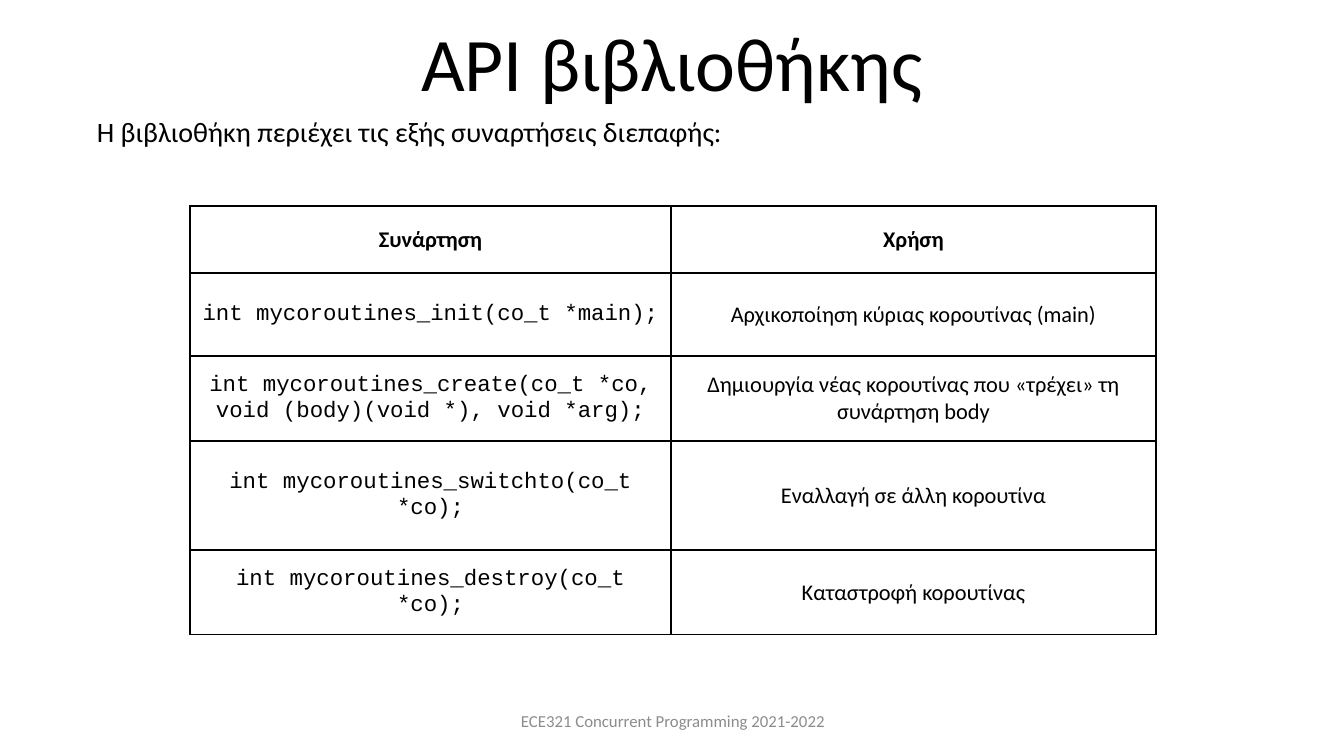
from dataclasses import dataclass

from lxml.etree import SubElement
from pptx import Presentation
from pptx.dml.color import RGBColor
from pptx.enum.text import MSO_ANCHOR, MSO_AUTO_SIZE, PP_ALIGN
from pptx.oxml.ns import qn
from pptx.util import Pt

# Content
TITLE = "API βιβλιοθήκης"
INTRO = "H βιβλιοθήκη περιέχει τις εξής συναρτήσεις διεπαφής:"
FOOTER = "ECE321 Concurrent Programming 2021-2022"
HEADINGS = ("Συνάρτηση", "Χρήση")
FUNCTIONS = [
    ("int mycoroutines_init(co_t *main);",
     "Αρχικοποίηση κύριας κορουτίνας (main)"),
    ("int mycoroutines_create(co_t *co, void (body)(void *), void *arg);",
     "Δημιουργία νέας κορουτίνας που «τρέχει» τη συνάρτηση body"),
    ("int mycoroutines_switchto(co_t *co);", "Εναλλαγή σε άλλη κορουτίνα"),
    ("int mycoroutines_destroy(co_t *co);", "Καταστροφή κορουτίνας"),
]

# Layout in px: left, top, width, height
SLIDE_SIZE = (1344, 756)
TITLE_BOX = (105, 21, 1134, 92)
INTRO_BOX = (87, 113, 1008, 51)
FOOTER_BOX = (446, 701, 454, 40)
TABLE_ORIGIN = (190, 206)
COLUMN_WIDTHS = (481, 485)
ROW_HEIGHTS = (67, 83, 85, 109, 85)


@dataclass(frozen=True)
class Theme:
    body_font: str = "Calibri"
    code_font: str = "Courier New"
    ink: str = "000000"
    muted: str = "8C8C8C"
    title_size: int = 54
    intro_size: int = 20
    cell_size: int = 16
    footer_size: int = 12
    border_width: int = 1


THEME = Theme()


def px(length):
    return round(length * 914400 / 100.8)


def write(frame, text, size, align=PP_ALIGN.CENTER, font=THEME.body_font,
          color=THEME.ink, bold=False):
    paragraph = frame.paragraphs[0]
    paragraph.alignment = align
    run = paragraph.add_run()
    run.text = text
    run.font.name = font
    run.font.size = Pt(size)
    run.font.bold = bold
    run.font.color.rgb = RGBColor.from_string(color)
    return paragraph


def prepare(frame, anchor):
    frame.word_wrap = True
    frame.auto_size = MSO_AUTO_SIZE.NONE
    frame.vertical_anchor = anchor
    return frame


def add_text(slide, box, anchor):
    return prepare(slide.shapes.add_textbox(*map(px, box)).text_frame, anchor)


def outline(cell):
    properties = cell._tc.get_or_add_tcPr()
    for position, side in enumerate(("a:lnL", "a:lnR", "a:lnT", "a:lnB")):
        line = SubElement(properties, qn(side), w=str(Pt(THEME.border_width)))
        fill = SubElement(line, qn("a:solidFill"))
        SubElement(fill, qn("a:srgbClr"), val=THEME.ink)
        properties.insert(position, line)


def add_functions_table(slide):
    rows = [HEADINGS, *FUNCTIONS]
    table = slide.shapes.add_table(
        len(rows), len(HEADINGS), *map(px, TABLE_ORIGIN),
        px(sum(COLUMN_WIDTHS)), px(sum(ROW_HEIGHTS))).table
    table.first_row = table.horz_banding = False
    for column, width in zip(table.columns, COLUMN_WIDTHS):
        column.width = px(width)
    for row, height in zip(table.rows, ROW_HEIGHTS):
        row.height = px(height)
    for row_index, row in enumerate(rows):
        for column_index, text in enumerate(row):
            cell = table.cell(row_index, column_index)
            cell.fill.background()
            cell.vertical_anchor = MSO_ANCHOR.MIDDLE
            is_heading = row_index == 0
            is_code = column_index == 0 and not is_heading
            write(cell.text_frame, text, THEME.cell_size, bold=is_heading,
                  font=THEME.code_font if is_code else THEME.body_font)
            outline(cell)


def main():
    deck = Presentation()
    deck.slide_width, deck.slide_height = map(px, SLIDE_SIZE)
    slide = deck.slides.add_slide(deck.slide_layouts[5])

    # Title
    title = slide.shapes.title
    title.left, title.top, title.width, title.height = map(px, TITLE_BOX)
    heading = write(prepare(title.text_frame, MSO_ANCHOR.BOTTOM), TITLE,
                    THEME.title_size)
    heading.line_spacing = 0.9

    # Introduction
    intro = write(add_text(slide, INTRO_BOX, MSO_ANCHOR.TOP), INTRO,
                  THEME.intro_size, align=PP_ALIGN.LEFT)
    intro.line_spacing = 0.9

    # Function table
    add_functions_table(slide)

    # Footer
    write(add_text(slide, FOOTER_BOX, MSO_ANCHOR.MIDDLE), FOOTER,
          THEME.footer_size, color=THEME.muted)

    deck.save("out.pptx")


if __name__ == "__main__":
    main()
